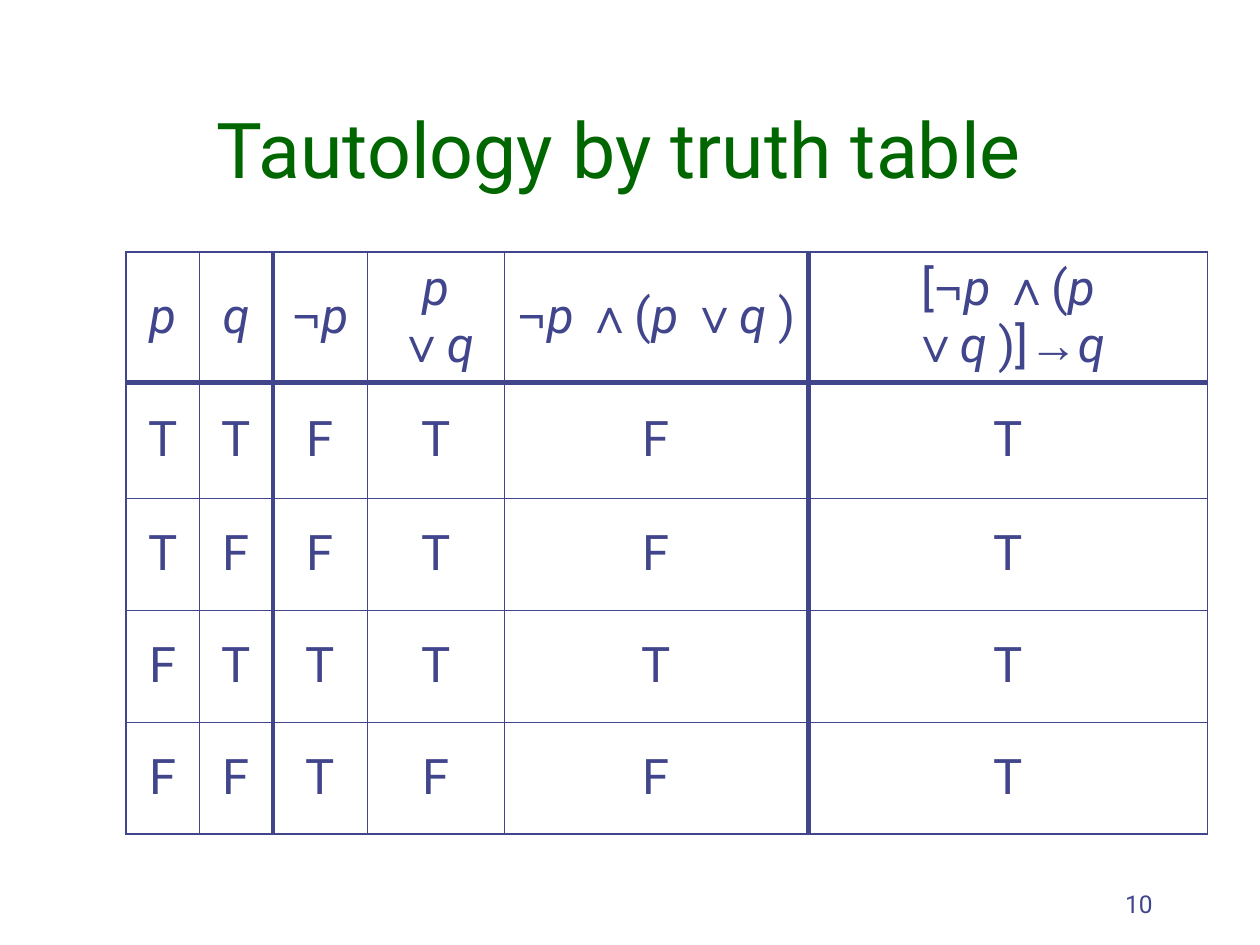
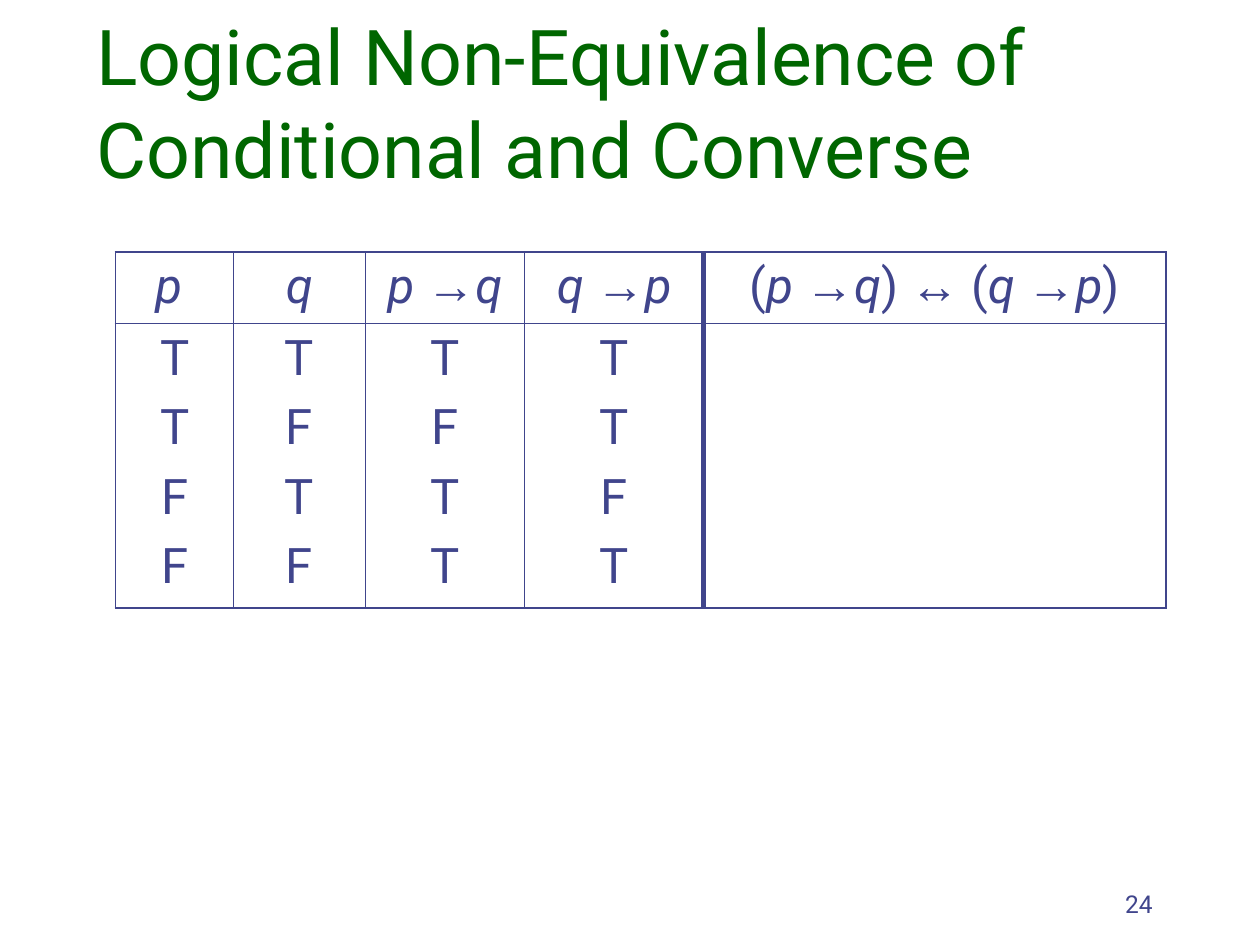
from lxml import etree
from pptx import Presentation
from pptx.dml.color import RGBColor
from pptx.enum.text import MSO_ANCHOR, MSO_AUTO_SIZE, PP_ALIGN
from pptx.oxml.ns import qn
from pptx.util import Cm, Pt

LEFT, CENTER, RIGHT = PP_ALIGN.LEFT, PP_ALIGN.CENTER, PP_ALIGN.RIGHT
TOP, MIDDLE, BOTTOM = MSO_ANCHOR.TOP, MSO_ANCHOR.MIDDLE, MSO_ANCHOR.BOTTOM
NO_AUTOFIT = MSO_AUTO_SIZE.NONE

COLORS = {"title": "006600", "ink": "40458C"}
TITLE_ONLY = 5
TITLE_FORMAT = {"name": "Roboto", "size": Pt(44)}
NUMBER_FORMAT = {"name": "Roboto", "size": Pt(14)}
CELL_SIZE = Pt(28)

# Fonts for the parts of a formula
PLAIN = {"name": "Roboto", "italic": False}
VARIABLE = {"name": "Roboto", "italic": True}
NEGATION = {"name": "Times New Roman", "italic": True, "bold": True}
OPERATOR = {"name": "Arial", "italic": False}
FORMULA_STYLES = {"p": VARIABLE, "q": VARIABLE, "¬": NEGATION,
                  **dict.fromkeys("∧∨→↔", OPERATOR)}

# Border widths in points
HAIR, THIN, FRAME, THICK = 0.11, 0.45, 1.08, 3


def format_font(font, values, color):
    for name, value in values.items():
        setattr(font, name, value)
    font.color.rgb = RGBColor.from_string(COLORS[color])


def add_title(slide, text, align):
    title = slide.shapes.title
    place = {"left": Cm(1.69), "top": Cm(0.85), "width": Cm(21.59), "height": Cm(3.18)}
    for name, value in place.items():
        setattr(title, name, value)
    frame = title.text_frame
    frame.text = text
    frame.vertical_anchor = BOTTOM
    frame.auto_size = NO_AUTOFIT
    para = frame.paragraphs[0]
    para.alignment = align
    format_font(para.runs[0].font, TITLE_FORMAT, "title")


def add_page_number(slide, number):
    box = slide.shapes.add_textbox(Cm(18.2), Cm(17.36), Cm(5.29), Cm(1.27))
    frame = box.text_frame
    frame.word_wrap = True
    frame.vertical_anchor = BOTTOM
    para = frame.paragraphs[0]
    para.alignment = RIGHT
    span = para.add_run()
    span.text = str(number)
    format_font(span.font, NUMBER_FORMAT, "ink")


def split_formula(text):
    """Group characters of one style; a space joins what it follows, but not an operator."""
    spans = []
    for char in text:
        style = FORMULA_STYLES.get(char, PLAIN)
        if char == " " and spans and spans[-1][1] is not OPERATOR:
            style = spans[-1][1]
        if spans and spans[-1][1] is style:
            spans[-1][0] += char
        else:
            spans.append([char, style])
    return spans


def fill_cell(cell, lines, anchor):
    cell.fill.background()
    cell.vertical_anchor = anchor
    frame = cell.text_frame
    for index, line in enumerate(lines):
        para = frame.add_paragraph() if index else frame.paragraphs[0]
        para.alignment = CENTER
        if index:
            para.space_before = Pt(7)
        for text, style in split_formula(line):
            span = para.add_run()
            span.text = text
            format_font(span.font, {**style, "size": CELL_SIZE}, "ink")


def set_borders(cell, widths):
    properties = cell._tc.get_or_add_tcPr()
    for index, (side, width) in enumerate(widths.items()):
        line = etree.Element(qn(f"a:ln{side}"), w=str(Pt(width)))
        fill = etree.SubElement(line, qn("a:solidFill"))
        etree.SubElement(fill, qn("a:srgbClr"), val=COLORS["ink"])
        properties.insert(index, line)


def add_truth_table(slide, left, widths, heights, rows, column_lines, row_lines, anchor):
    """Each cell is a list of lines; line widths run along the column and row edges."""
    table = slide.shapes.add_table(len(rows), len(widths), Cm(left), Cm(5.08),
                                   Cm(sum(widths)), Cm(sum(heights))).table
    table.first_row = table.horz_banding = False
    for column, width in zip(table.columns, widths):
        column.width = Cm(width)
    for row, height in zip(table.rows, heights):
        row.height = Cm(height)
    for r, row in enumerate(rows):
        for c, lines in enumerate(row):
            cell = table.cell(r, c)
            fill_cell(cell, lines, anchor)
            set_borders(cell, {"L": column_lines[c], "R": column_lines[c + 1],
                               "T": row_lines[r], "B": row_lines[r + 1]})


def build_tautology(slide):
    add_page_number(slide, 10)
    add_title(slide, "Tautology by truth table", CENTER)
    rows = [["p", "q", "¬p", "p ∨q", "¬p ∧(p ∨q )", "[¬p ∧(p ∨q )]→q"],
            "TTFTFT", "TFFTFT", "FTTTTT", "FFTFFT"]
    add_truth_table(
        slide, left=2.54,
        widths=[1.48, 1.48, 1.91, 2.75, 6.14, 8.04],
        heights=[1.69, 2.33, 2.26, 2.26, 2.26],
        rows=[[[text] for text in row] for row in rows],
        column_lines=[FRAME, THIN, THICK, THIN, THIN, THICK, FRAME],
        row_lines=[FRAME, THICK, HAIR, THIN, THIN, FRAME],
        anchor=MIDDLE)


def build_non_equivalence(slide):
    add_page_number(slide, 24)
    add_title(slide, "Logical Non-Equivalence of Conditional and Converse", LEFT)
    header = ["p ", "q", "p →q", "q →p", "(p →q) ↔ (q →p)"]
    values = ["TTFF", "TFTF", "TFTT", "TTFT", ""]
    add_truth_table(
        slide, left=2.33,
        widths=[2.38, 2.65, 3.22, 3.6, 9.32],
        heights=[1.44, 5.74],
        rows=[[[text] for text in header], values],
        column_lines=[FRAME, THIN, THIN, THIN, THICK, FRAME],
        row_lines=[FRAME, THIN, FRAME],
        anchor=TOP)


def main():
    deck = Presentation()
    deck.slide_width, deck.slide_height = Cm(25.4), Cm(19.05)
    for build in (build_tautology, build_non_equivalence):
        build(deck.slides.add_slide(deck.slide_layouts[TITLE_ONLY]))
    deck.save("out.pptx")


if __name__ == "__main__":
    main()
